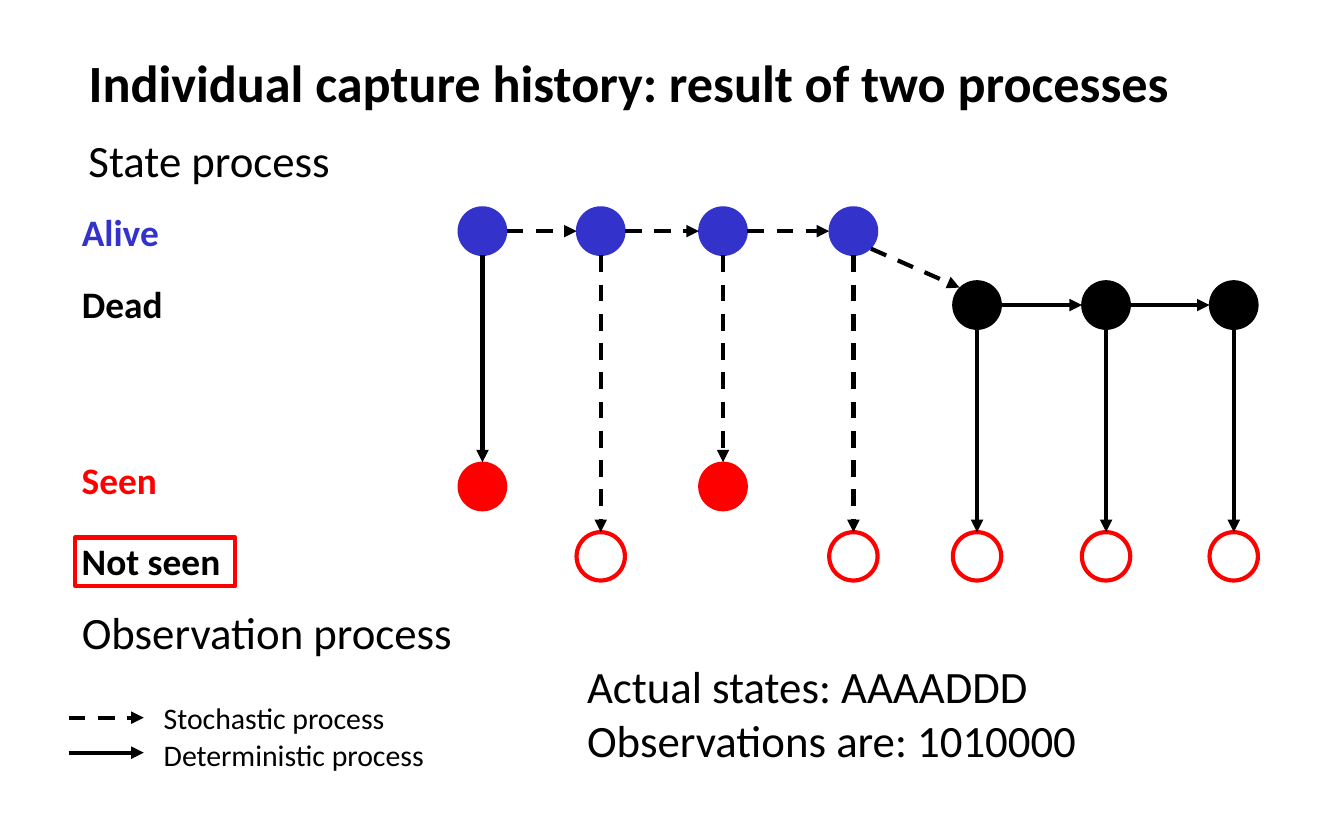
from pptx import Presentation
from pptx.dml.color import RGBColor
from pptx.enum.dml import MSO_LINE
from pptx.enum.shapes import MSO_CONNECTOR, MSO_SHAPE
from pptx.enum.text import MSO_ANCHOR, MSO_AUTO_SIZE, PP_ALIGN
from pptx.oxml.ns import qn
from pptx.util import Pt
from lxml import etree

PX = 9144  # EMU per px, 100 px to the inch
FONT = "Calibri"
BLACK = RGBColor(0x00, 0x00, 0x00)
BLUE = RGBColor(0x33, 0x33, 0xCC)
RED = RGBColor(0xFF, 0x00, 0x00)
OVAL, RECT = MSO_SHAPE.OVAL, MSO_SHAPE.RECTANGLE
STRAIGHT, DASH = MSO_CONNECTOR.STRAIGHT, MSO_LINE.DASH
LEFT, TOP, NO_FIT = PP_ALIGN.LEFT, MSO_ANCHOR.TOP, MSO_AUTO_SIZE.NONE

STATES = "AAAADDD"
OBSERVATIONS = "1010000"
CENTRES = [359, 447, 538, 635, 727, 823, 918]
STATE_Y = {"A": 172, "D": 227}
STATE_COLOR = {"A": BLUE, "D": BLACK}
SEEN_Y = {"1": 362, "0": 414}
R = 18     # circle radius
DIAG = 13  # offset of a point on the circle at 45 degrees


class Canvas:
    def __init__(self, prs):
        self.slide = prs.slides.add_slide(prs.slide_layouts[5])
        self.shapes = self.slide.shapes

    def set_lines(self, sp, lines, size, bold=False, gap=0):
        """Fill a text frame with (text, colour) lines."""
        tf = sp.text_frame
        tf.word_wrap = False
        tf.auto_size = NO_FIT
        tf.vertical_anchor = TOP
        for i, (text, color) in enumerate(lines):
            p = tf.add_paragraph() if i else tf.paragraphs[0]
            p.text = text
            p.alignment = LEFT
            if i and gap:
                p.space_before = Pt(gap)
            p.font.name, p.font.size, p.font.bold = FONT, Pt(size), bold
            p.font.color.rgb = color

    def title(self, box, text, size):
        sp = self.shapes.title
        sp.left, sp.top, sp.width, sp.height = [v * PX for v in box]
        self.set_lines(sp, [(text, BLACK)], size, bold=True)

    def text(self, box, lines, size, **style):
        sp = self.shapes.add_textbox(*[v * PX for v in box])
        self.set_lines(sp, lines, size, **style)

    def shape(self, kind, box, color, filled=False):
        sp = self.shapes.add_shape(kind, *[v * PX for v in box])
        sp.shadow.inherit = False
        if filled:
            sp.fill.solid()
            sp.fill.fore_color.rgb = color
        else:
            sp.fill.background()
        sp.line.color.rgb = color
        sp.line.width = Pt(0.75 if filled else 2.25)

    def circle(self, x, y, color, filled):
        self.shape(OVAL, (x - R, y - R, 2 * R, 2 * R), color, filled)

    def arrow(self, x1, y1, x2, y2, dashed):
        c = self.shapes.add_connector(STRAIGHT, x1 * PX, y1 * PX, x2 * PX, y2 * PX)
        c.line.color.rgb = BLACK
        c.line.width = Pt(2.25)
        if dashed:
            c.line.dash_style = DASH
        props = c._element.spPr
        etree.SubElement(props.find(qn("a:ln")), qn("a:tailEnd"), type="triangle")
        etree.SubElement(props, qn("a:effectLst"))


def main():
    prs = Presentation()
    prs.slide_width, prs.slide_height = 1000 * PX, 625 * PX
    s = Canvas(prs)

    # Headings and row labels
    s.title((56, 32, 833, 57), "Individual capture history: result of two processes", 28)
    s.text((56, 94, 201, 50), [("State process", BLACK)], 24)
    s.text((51, 151, 81, 98), [("Alive", BLUE), ("Dead", BLACK)], 20, bold=True, gap=14.6)
    s.shape(RECT, (56, 400, 119, 36), RED)
    s.text((51, 335, 124, 104), [("Seen", RED), ("Not seen", BLACK)], 20, bold=True, gap=19.5)
    s.text((51, 445, 298, 50), [("Observation process", BLACK)], 24)

    # State and observation of each occasion
    for i, (x, state, seen) in enumerate(zip(CENTRES, STATES, OBSERVATIONS)):
        top, bottom = STATE_Y[state], SEEN_Y[seen]
        s.circle(x, top, STATE_COLOR[state], True)
        s.circle(x, bottom, RED, seen == "1")
        s.arrow(x, top + R, x, bottom - R, dashed=state == "A" and i > 0)

    # Transitions between occasions
    nodes = list(zip(CENTRES, STATES))
    for (x1, a), (x2, b) in zip(nodes, nodes[1:]):
        dx, dy = (R, 0) if a == b else (DIAG, DIAG)
        s.arrow(x1 + dx, STATE_Y[a] + dy, x2 - dx, STATE_Y[b] - dy, dashed=a == "A")

    # Legend
    s.arrow(51, 534, 107, 534, dashed=True)
    s.text((112, 516, 187, 37), [("Stochastic process", BLACK)], 16)
    s.arrow(51, 560, 107, 560, dashed=False)
    s.text((112, 543, 216, 37), [("Deterministic process", BLACK)], 16)

    # Summary
    s.text((427, 485, 387, 91), [(f"Actual states: {STATES}", BLACK),
                                 (f"Observations are: {OBSERVATIONS}", BLACK)], 24)
    prs.save("out.pptx")


if __name__ == "__main__":
    main()
